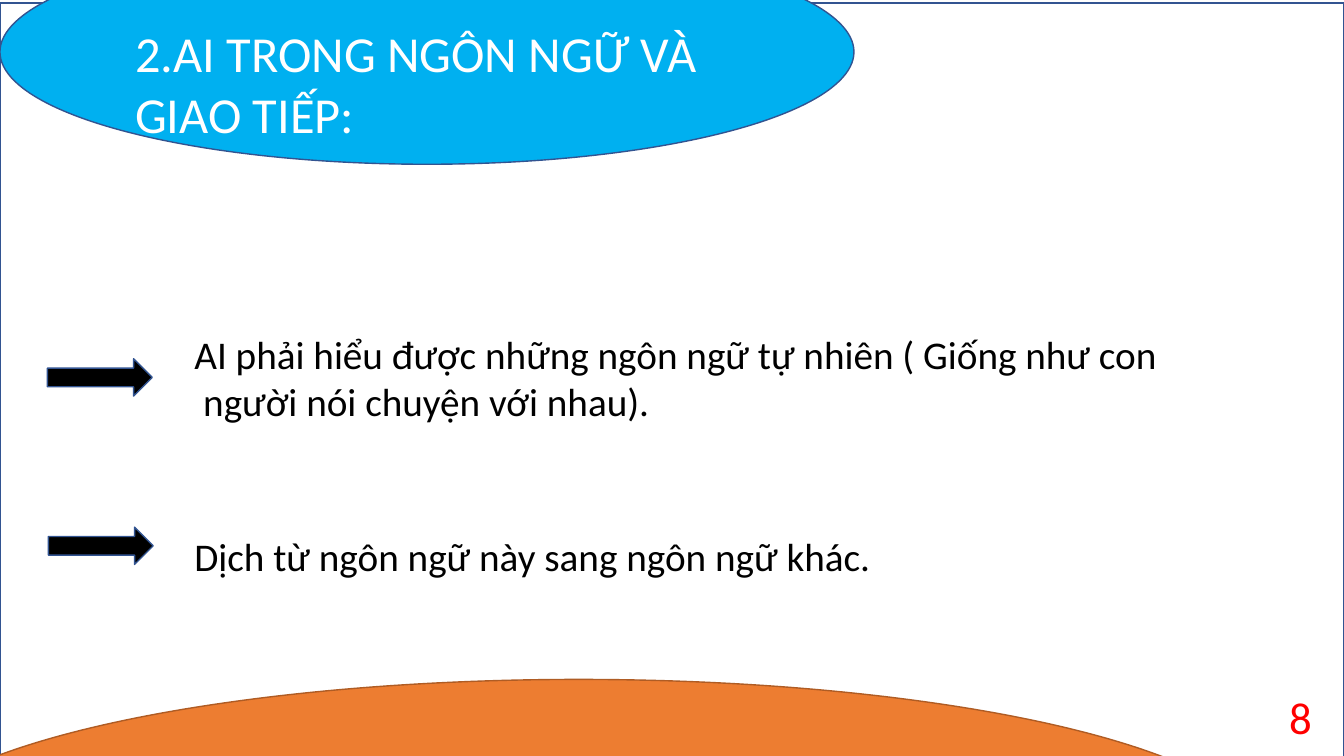
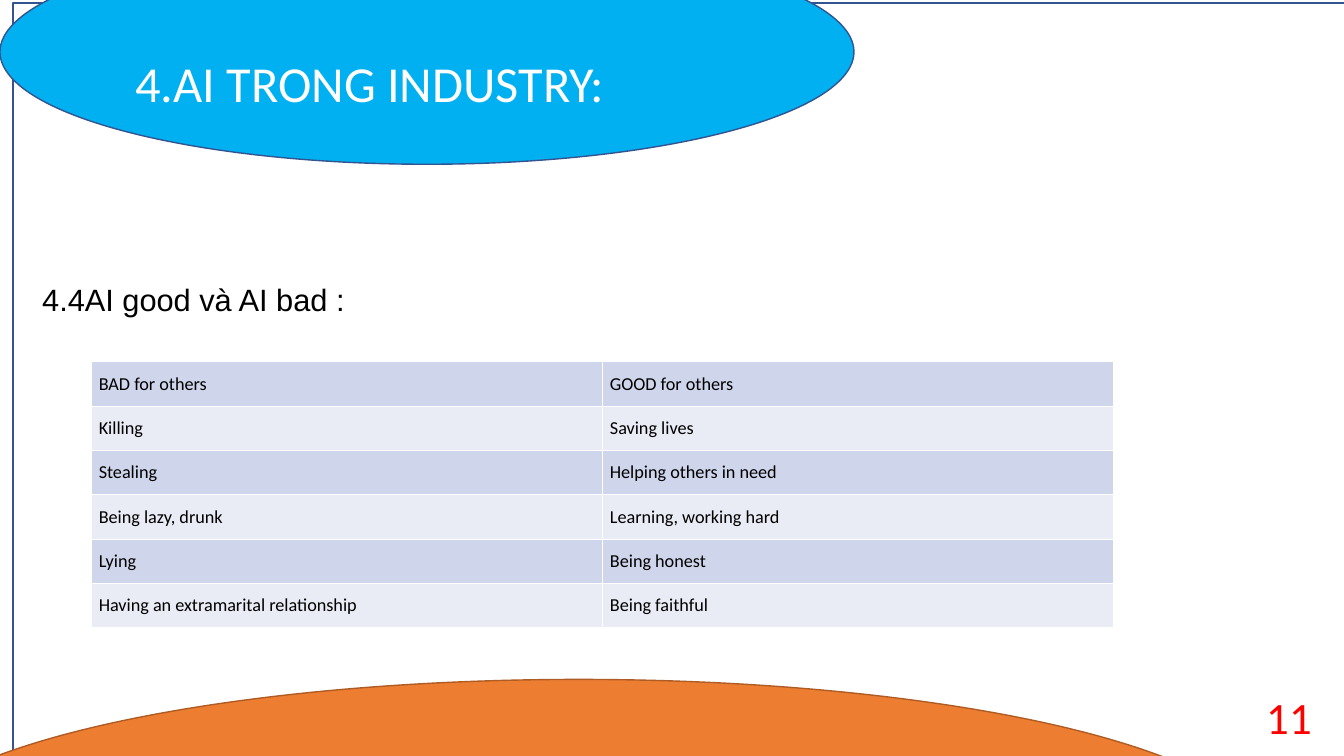
from lxml.etree import SubElement
from pptx import Presentation
from pptx.dml.color import RGBColor
from pptx.enum.shapes import MSO_SHAPE
from pptx.enum.text import MSO_ANCHOR, MSO_AUTO_SIZE, PP_ALIGN
from pptx.oxml import parse_xml
from pptx.oxml.ns import nsdecls, qn
from pptx.util import Inches, Pt

WHITE = RGBColor(0xFF, 0xFF, 0xFF)
BLACK = RGBColor(0x00, 0x00, 0x00)
RED = RGBColor(0xFF, 0x00, 0x00)
SKY = RGBColor(0x00, 0xB0, 0xF0)
NAVY = RGBColor(0x32, 0x54, 0x91)
ORANGE = RGBColor(0xED, 0x7D, 0x31)
BROWN = RGBColor(0xAF, 0x5C, 0x24)
BAND_DARK = RGBColor(0xCF, 0xD5, 0xEA)
BAND_LIGHT = RGBColor(0xE9, 0xEB, 0xF5)


class Deck:
    """Holds the shared style and the current slide."""

    font = "Calibri"
    title_only_layout = 5

    def __init__(self):
        self.presentation = Presentation()
        self.presentation.slide_width = Inches(13.33)
        self.presentation.slide_height = Inches(7.5)
        self.slide = None

    def add_slide(self, title, number, frame_left=0):
        layout = self.presentation.slide_layouts[self.title_only_layout]
        self.slide = self.presentation.slides.add_slide(layout)
        # Frame, title band and bottom band
        self.shape(MSO_SHAPE.RECTANGLE, frame_left, 0.03, 13.33, 7.5, WHITE)
        self.shape(MSO_SHAPE.OVAL, 0, -0.6, 8.47, 2.23, SKY)
        self.shape(MSO_SHAPE.OVAL, -1.1, 6.74, 13.68, 3.28, ORANGE, BROWN)
        self.title(title)
        # Page number
        self.text(str(number), 10.11, 6.91, 3, 0.4, 32, color=RED,
                  align=PP_ALIGN.RIGHT, anchor=MSO_ANCHOR.MIDDLE)

    def format_text(self, text_frame, size, color=BLACK, font=None,
                    align=PP_ALIGN.LEFT, spacing=1.0):
        for paragraph in text_frame.paragraphs:
            paragraph.alignment = align
            paragraph.line_spacing = spacing
            for run in paragraph.runs:
                run.font.name = font or self.font
                run.font.size = Pt(size)
                run.font.color.rgb = color

    def title(self, text):
        title = self.slide.shapes.title
        title.left, title.top = Inches(1.24), Inches(0.2)
        title.width, title.height = Inches(5.99), Inches(1.24)
        title.text_frame.text = text
        title.text_frame.auto_size = MSO_AUTO_SIZE.NONE
        title.text_frame.vertical_anchor = MSO_ANCHOR.MIDDLE
        self.format_text(title.text_frame, 36, WHITE)
        # Bring the title in front of its band
        title.element.getparent().append(title.element)

    def shape(self, kind, left, top, width, height, fill, line=NAVY):
        shape = self.slide.shapes.add_shape(
            kind, Inches(left), Inches(top), Inches(width), Inches(height))
        shape.shadow.inherit = False
        shape.fill.solid()
        shape.fill.fore_color.rgb = fill
        shape.line.color.rgb = line
        shape.line.width = Pt(1)

    def text(self, text, left, top, width, height, size,
             anchor=MSO_ANCHOR.TOP, **style):
        box = self.slide.shapes.add_textbox(
            Inches(left), Inches(top), Inches(width), Inches(height))
        box.text_frame.word_wrap = True
        box.text_frame.vertical_anchor = anchor
        box.text_frame.text = text
        self.format_text(box.text_frame, size, **style)

    def arrow_point(self, text, text_top, text_height, arrow_left, arrow_top):
        self.text(text, 1.83, text_top, 11.2, text_height, 28)
        self.shape(MSO_SHAPE.RIGHT_ARROW, arrow_left, arrow_top,
                   1.04, 0.37, BLACK)

    def cell_borders(self, cell):
        properties = cell._tc.get_or_add_tcPr()
        for side in ("a:lnL", "a:lnR", "a:lnT", "a:lnB"):
            border = SubElement(properties, qn(side), w=str(Pt(1)))
            border.append(parse_xml(
                f'<a:solidFill {nsdecls("a")}><a:srgbClr val="{WHITE}"/></a:solidFill>'))

    def table(self, rows, left, top, column_width, row_height):
        column_count = len(rows[0])
        table = self.slide.shapes.add_table(
            len(rows), column_count, Inches(left), Inches(top),
            Inches(column_width * column_count),
            Inches(row_height * len(rows))).table
        table.first_row = False
        for row_index, row in enumerate(rows):
            for column_index, text in enumerate(row):
                cell = table.cell(row_index, column_index)
                cell.margin_left = cell.margin_right = Inches(0.07)
                cell.margin_top = cell.margin_bottom = 0
                cell.text_frame.text = text
                self.format_text(cell.text_frame, 13,
                                 align=PP_ALIGN.JUSTIFY, spacing=1.5)
                self.cell_borders(cell)
                cell.fill.solid()
                cell.fill.fore_color.rgb = BAND_LIGHT if row_index % 2 else BAND_DARK


def main():
    deck = Deck()

    # Language and communication
    deck.add_slide("2.AI TRONG NGÔN NGỮ VÀ GIAO TIẾP:", 8)
    deck.arrow_point("AI phải hiểu được những ngôn ngữ tự nhiên ( Giống như con\n"
                     " người nói chuyện với nhau).", 3.23, 1.04, 0.47, 3.56)
    deck.arrow_point("Dịch từ ngôn ngữ này sang ngôn ngữ khác.",
                     5.23, 0.57, 0.48, 5.23)

    # Industry
    deck.add_slide("4.AI TRONG INDUSTRY:", 11, frame_left=0.13)
    deck.text("4.4AI good và AI bad :", 0.32, 2.74, 8.55, 0.43, 22, font="Arial")
    deck.table([
        ("BAD for others", "GOOD for others"),
        ("Killing", "Saving lives"),
        ("Stealing", "Helping others in need"),
        ("Being lazy, drunk", "Learning, working hard"),
        ("Lying", "Being honest"),
        ("Having an extramarital relationship", "Being faithful"),
    ], 0.91, 3.59, 5.07, 0.44)

    deck.presentation.save("out.pptx")


if __name__ == "__main__":
    main()
